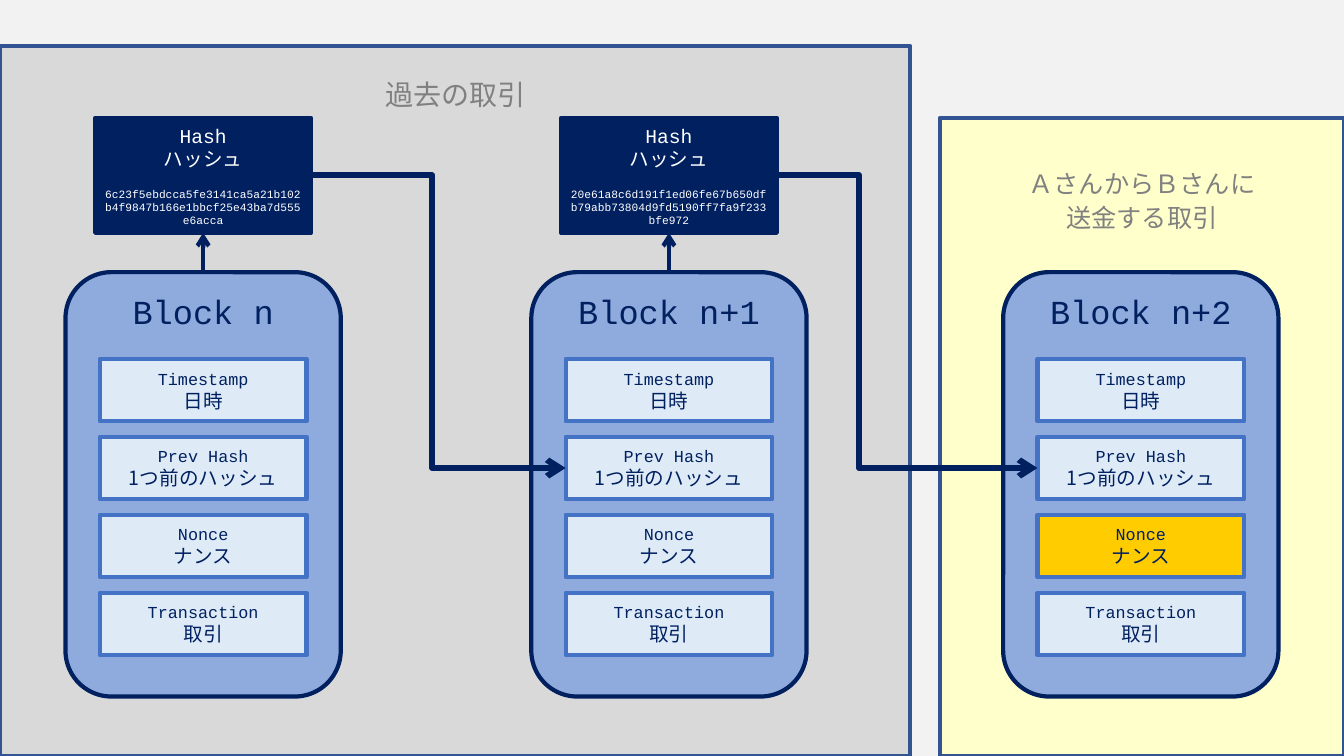
"""Build a slide of three chained blocks, each pointing to the hash before it."""
from lxml import etree
from pptx import Presentation
from pptx.dml.color import RGBColor
from pptx.enum.shapes import MSO_CONNECTOR, MSO_SHAPE
from pptx.enum.text import MSO_ANCHOR, PP_ALIGN
from pptx.oxml.ns import qn
from pptx.util import Inches, Pt

RECT, ROUND = MSO_SHAPE.RECTANGLE, MSO_SHAPE.ROUNDED_RECTANGLE
LINE, ELBOW = MSO_CONNECTOR.STRAIGHT, MSO_CONNECTOR.ELBOW
TOP, MID = MSO_ANCHOR.TOP, MSO_ANCHOR.MIDDLE
CENTER = PP_ALIGN.CENTER
MONO, SANS = "Courier New", "Noto Sans CJK JP"

NAVY = RGBColor(0x00, 0x20, 0x60)
BLUE = RGBColor(0x44, 0x72, 0xC4)
EDGE = RGBColor(0x32, 0x54, 0x91)
SKY = RGBColor(0x8F, 0xAA, 0xDC)
PALE = RGBColor(0xDE, 0xEB, 0xF7)
GOLD = RGBColor(0xFF, 0xCC, 0x00)
CREAM = RGBColor(0xFF, 0xFF, 0xCC)
SILVER = RGBColor(0xD9, 0xD9, 0xD9)
GRAY = RGBColor(0x80, 0x80, 0x80)
PAPER = RGBColor(0xF2, 0xF2, 0xF2)
WHITE = RGBColor(0xFF, 0xFF, 0xFF)

WIDE, HIGH = 13.33, 7.5
COLS = [0.65, 5.27, 9.95]
BLOCK_W, BLOCK_H, BLOCK_Y = 2.73, 4.21, 2.7
ROW_W, ROW_H, ROW_Y, STEP = 2.05, 0.62, 3.56, 0.773
HASH_W, HASH_H, HASH_Y = 2.14, 1.14, 1.17

NAMES = ["Block n", "Block n+1", "Block n+2"]
FIELDS = [("Timestamp", "日時"), ("Prev Hash", "1つ前のハッシュ"),
          ("Nonce", "ナンス"), ("Transaction", "取引")]
CODES = ["6c23f5ebdcca5fe3141ca5a21b102b4f9847b166e1bbcf25e43ba7d555e6acca",
         "20e61a8c6d191f1ed06fe67b650dfb79abb73804d9fd5190ff7fa9f233bfe972"]
BENDS = [0.476, 0.315]

deck = Presentation()
deck.slide_width, deck.slide_height = Inches(WIDE), Inches(HIGH)
slide = deck.slides.add_slide(deck.slide_layouts[6])
slide.background.fill.solid()
slide.background.fill.fore_color.rgb = PAPER


def add_box(kind, x, y, w, h, fill, edge, lines, ink, anchor=MID, inset=0.05):
    """Add a filled shape with one centred paragraph per (text, size, font)."""
    box = slide.shapes.add_shape(kind, Inches(x), Inches(y), Inches(w), Inches(h))
    box.shadow.inherit = False
    box.fill.solid()
    box.fill.fore_color.rgb = fill
    box.line.color.rgb = edge
    box.line.width = Pt(3)
    frame = box.text_frame
    frame.word_wrap = True
    frame.vertical_anchor = anchor
    frame.margin_top = Inches(inset)
    for i, (text, size, face) in enumerate(lines):
        para = frame.add_paragraph() if i else frame.paragraphs[0]
        para.alignment = CENTER
        run = para.add_run()
        run.text = text
        run.font.size = Pt(size)
        run.font.name = face
        run.font.color.rgb = ink
        etree.SubElement(run.font._element, qn("a:ea"), typeface=face)
    return box


def add_link(kind, start, side, end, goal, width):
    """Join two shapes with a navy arrow."""
    link = slide.shapes.add_connector(kind, 0, 0, 0, 0)
    link.begin_connect(start, side)
    link.end_connect(end, goal)
    link.line.color.rgb = NAVY
    link.line.width = Pt(width)
    etree.SubElement(link.line._get_or_add_ln(), qn("a:tailEnd"), type="arrow")
    etree.SubElement(link._element.spPr, qn("a:effectLst"))
    return link


pay = add_box(RECT, 9.32, HASH_Y, WIDE - 9.32, HIGH - HASH_Y, CREAM, EDGE,
              [("ＡさんからＢさんに", 18, SANS), ("送金する取引", 18, SANS)],
              GRAY, TOP, 0.47)
for para in pay.text_frame.paragraphs:
    para.line_spacing = Pt(24)
add_box(RECT, 0, 0.46, 9.03, HIGH - 0.46, SILVER, EDGE,
        [("過去の取引", 20, SANS)], GRAY, TOP, 0.31)

blocks, prevs = [], []
for x, name in zip(COLS, NAMES):
    blocks.append(add_box(ROUND, x, BLOCK_Y, BLOCK_W, BLOCK_H, SKY, NAVY,
                          [(name, 24, MONO)], NAVY, TOP))
    for i, (term, gloss) in enumerate(FIELDS):
        new = name == NAMES[-1] and term == "Nonce"
        row = add_box(RECT, x + (BLOCK_W - ROW_W) / 2, ROW_Y + i * STEP,
                      ROW_W, ROW_H, GOLD if new else PALE, BLUE,
                      [(term, 12, MONO), (gloss, 14, SANS)], NAVY)
        if term == "Prev Hash":
            prevs.append(row)

hashes = []
for x, code in zip(COLS, CODES):
    box = add_box(RECT, x + (BLOCK_W - HASH_W) / 2, HASH_Y, HASH_W, HASH_H,
                  NAVY, NAVY, [("Hash", 14, MONO), ("ハッシュ", 14, SANS),
                               (code, 8, MONO)], WHITE)
    box.text_frame.paragraphs[-1].space_before = Pt(11.6)
    hashes.append(box)

for block, box in zip(blocks, hashes):
    add_link(LINE, block, 0, box, 2, 3)
for box, prev, bend in zip(hashes, prevs[1:], BENDS):
    link = add_link(ELBOW, box, 3, prev, 1, 4.25)
    guides = link._element.spPr.find(qn("a:prstGeom")).get_or_add_avLst()
    etree.SubElement(guides, qn("a:gd"), name="adj1", fmla=f"val {round(bend * 100000)}")

deck.save("out.pptx")
